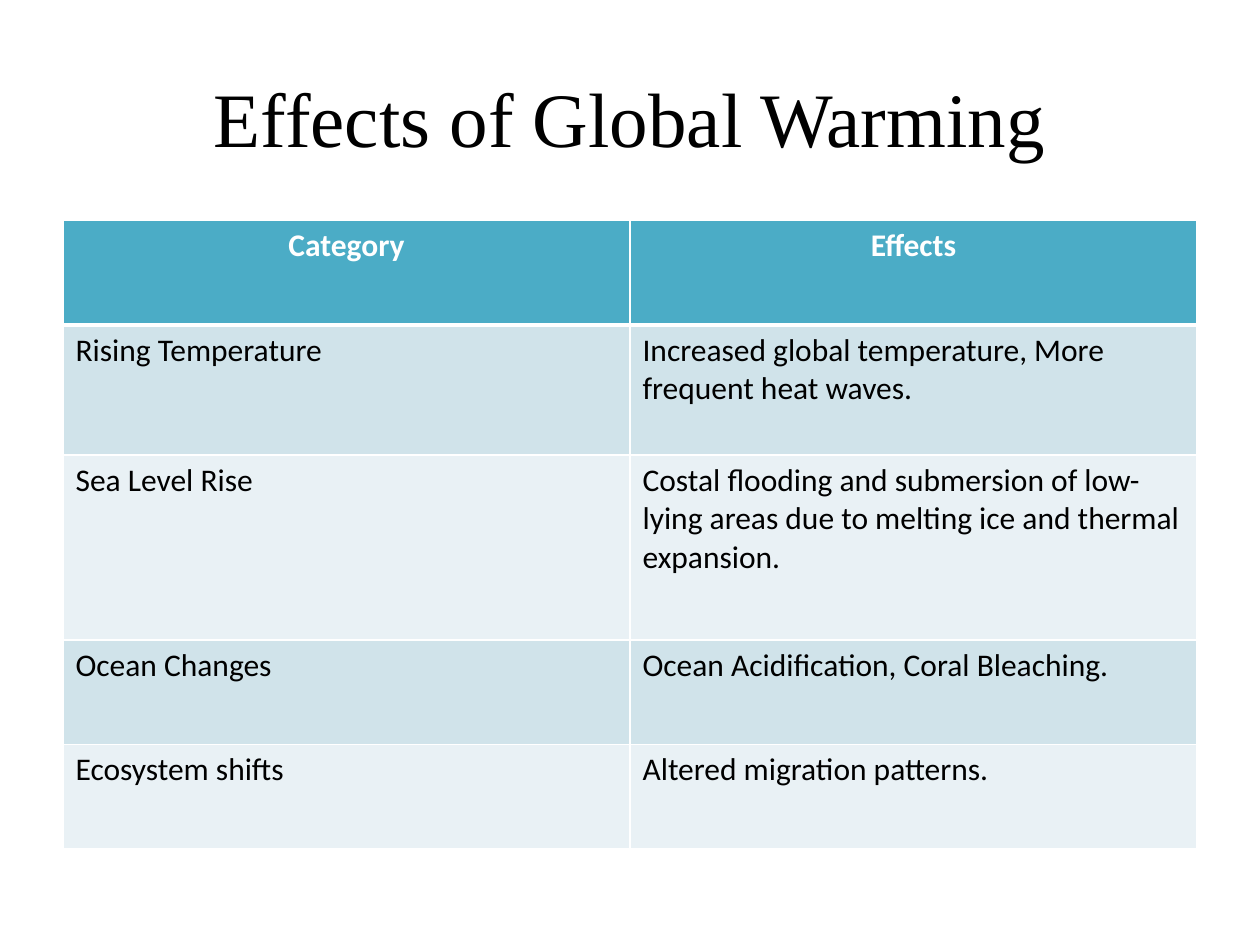
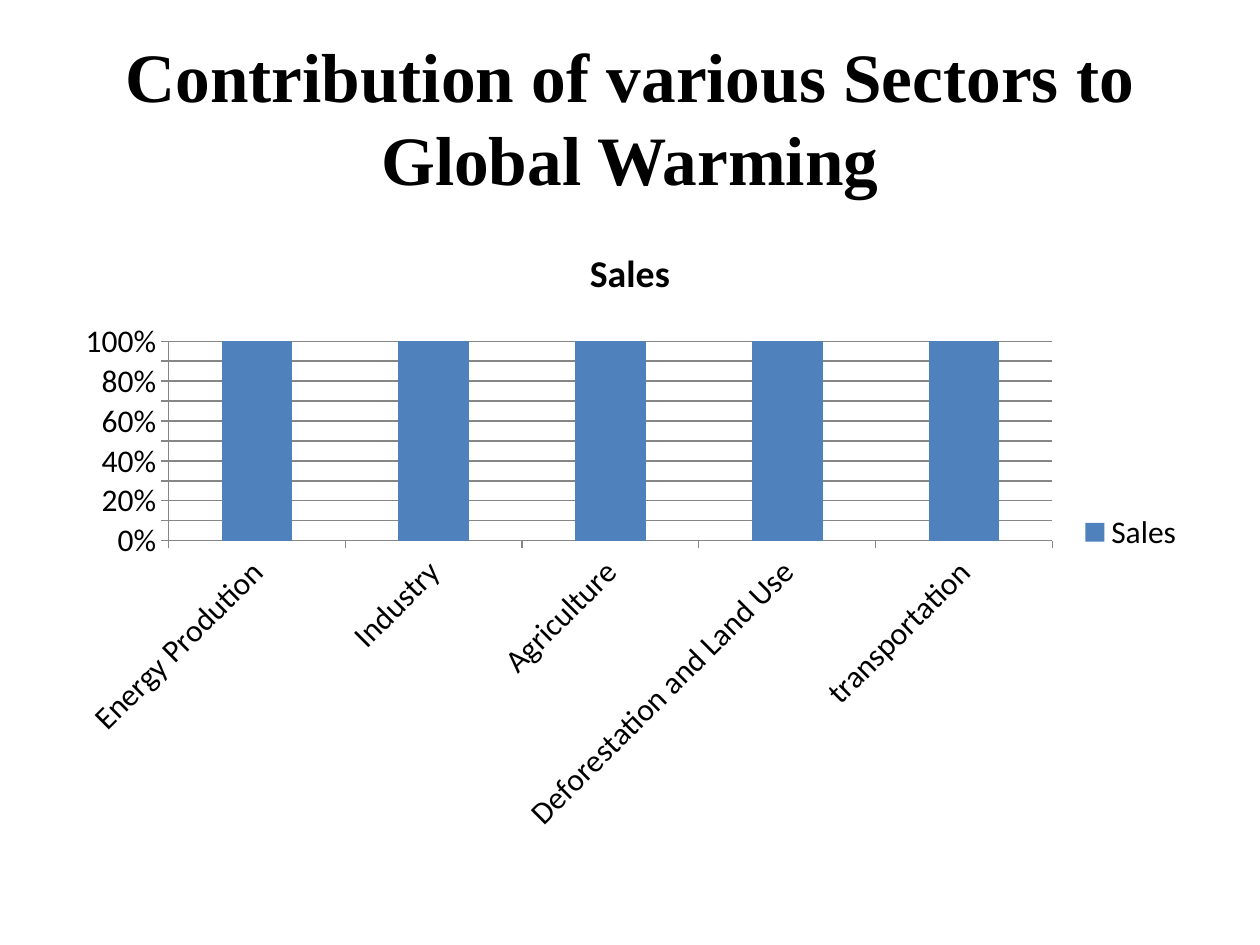
"""Build two slides on global warming: a table of effects and a chart of sectors."""
from typing import NamedTuple

from lxml import etree
from pptx import Presentation
from pptx import util as u
from pptx.chart.data import CategoryChartData
from pptx.dml.color import RGBColor
from pptx.enum import chart as charts
from pptx.enum import text
from pptx.oxml import ns

BLACK = RGBColor(0x00, 0x00, 0x00)
WHITE = RGBColor(0xFF, 0xFF, 0xFF)
TEAL = RGBColor(0x4B, 0xAC, 0xC6)
BAND_DARK = RGBColor(0xD0, 0xE3, 0xEA)
BAND_LIGHT = RGBColor(0xE9, 0xF1, 0xF5)
BLUE = RGBColor(0x4F, 0x81, 0xBD)
GREY = RGBColor(0x86, 0x86, 0x86)

TITLE_FONT = "Times New Roman"
BODY_FONT = "Calibri"
BODY_SIZE = u.Pt(18)
LEFT, WIDTH = u.Inches(0.5), u.Inches(9)
TITLE_TOP, TITLE_HEIGHT = u.Inches(0.3), u.Inches(1.25)
BODY_TOP = u.Inches(1.75)
CHART_HEIGHT = u.Inches(4.95)
TITLE_ONLY = 5


class TableRow(NamedTuple):
    """One line of the effects table and its height."""
    category: str
    effects: str
    height: u.Length


EFFECTS = [
    TableRow("Category", "Effects", u.Inches(0.83)),
    TableRow("Rising Temperature",
             "Increased global temperature, More frequent heat waves.", u.Inches(1.03)),
    TableRow("Sea Level Rise",
             "Costal flooding and submersion of low-lying areas due to melting ice "
             "and thermal expansion.", u.Inches(1.47)),
    TableRow("Ocean Changes", "Ocean Acidification, Coral Bleaching.", u.Inches(0.83)),
    TableRow("Ecosystem shifts", "Altered migration patterns.", u.Inches(0.83)),
]
SECTORS = ["Energy Prodution", "Industry", "Agriculture",
           "Deforestation and Land Use", "transportation"]


def style_font(font, name: str, size: u.Length, color: RGBColor, bold: bool = False) -> None:
    """Set the face, size, colour and weight of a font."""
    font.name, font.size, font.bold = name, size, bold
    font.color.rgb = color


def add_page(deck, title: str, size: u.Length, bold: bool = False):
    """Add a title-only slide with its title placed and formatted."""
    page = deck.slides.add_slide(deck.slide_layouts[TITLE_ONLY])
    page.background.fill.solid()
    page.background.fill.fore_color.rgb = WHITE
    box = page.shapes.title
    box.left, box.top, box.width, box.height = LEFT, TITLE_TOP, WIDTH, TITLE_HEIGHT
    frame = box.text_frame
    frame.text = title
    frame.vertical_anchor = text.MSO_ANCHOR.MIDDLE
    para = frame.paragraphs[0]
    para.alignment = text.PP_ALIGN.CENTER
    style_font(para.runs[0].font, TITLE_FONT, size, BLACK, bold)
    return page


def set_borders(cell, top: u.Length, bottom: u.Length) -> None:
    """Draw white borders round a table cell."""
    properties = cell._tc.get_or_add_tcPr()
    widths = {"a:lnL": u.Pt(1), "a:lnR": u.Pt(1), "a:lnT": top, "a:lnB": bottom}
    for position, (tag, width) in enumerate(widths.items()):
        line = etree.Element(ns.qn(tag), w=str(int(width)))
        fill = etree.SubElement(line, ns.qn("a:solidFill"))
        etree.SubElement(fill, ns.qn("a:srgbClr"), val=str(WHITE))
        properties.insert(position, line)


def add_effects_table(page) -> None:
    """Add the table with a teal header and banded rows."""
    height = sum(row.height for row in EFFECTS)
    table = page.shapes.add_table(len(EFFECTS), 2, LEFT, BODY_TOP, WIDTH, height).table
    for index, row in enumerate(EFFECTS):
        table.rows[index].height = row.height
        header = index == 0
        band = TEAL if header else BAND_DARK if index % 2 else BAND_LIGHT
        for column, wording in enumerate((row.category, row.effects)):
            cell = table.cell(index, column)
            cell.fill.solid()
            cell.fill.fore_color.rgb = band
            set_borders(cell, u.Pt(3 if index == 1 else 1), u.Pt(3 if header else 1))
            cell.text_frame.text = wording
            para = cell.text_frame.paragraphs[0]
            para.alignment = text.PP_ALIGN.CENTER if header else text.PP_ALIGN.LEFT
            style_font(para.runs[0].font, BODY_FONT, BODY_SIZE,
                       WHITE if header else BLACK, header)


def add_sector_chart(page) -> None:
    """Add the full-height stacked column chart of the sectors."""
    data = CategoryChartData()
    data.categories = SECTORS
    data.add_series("Sales", [100] * len(SECTORS))
    chart = page.shapes.add_chart(charts.XL_CHART_TYPE.COLUMN_STACKED_100,
                                  LEFT, BODY_TOP, WIDTH, CHART_HEIGHT, data).chart
    style_font(chart.font, BODY_FONT, BODY_SIZE, BLACK)

    chart.has_title = True
    chart.chart_title.include_in_layout = False
    frame = chart.chart_title.text_frame
    frame.text = "Sales"
    style_font(frame.paragraphs[0].runs[0].font, BODY_FONT, u.Pt(21.6), BLACK, True)

    chart.has_legend = True
    chart.legend.position = charts.XL_LEGEND_POSITION.RIGHT
    chart.legend.include_in_layout = False

    plot = chart.plots[0]
    plot.gap_width, plot.overlap, plot.vary_by_categories = 150, 100, False
    bars = plot.series[0].format.fill
    bars.solid()
    bars.fore_color.rgb = BLUE

    values = chart.value_axis
    values.has_major_gridlines = True
    values.tick_labels.number_format = "0%"
    values.tick_labels.number_format_is_linked = False
    for axis in (chart.category_axis, values):
        axis.major_tick_mark = charts.XL_TICK_MARK.OUTSIDE
    for part in (chart.category_axis, values, values.major_gridlines):
        part.format.line.color.rgb = GREY
        part.format.line.width = u.Pt(0.75)


def main() -> None:
    """Build and save the deck."""
    deck = Presentation()
    deck.slide_width, deck.slide_height = u.Inches(10), u.Inches(7.5)
    add_effects_table(add_page(deck, "Effects of Global Warming", u.Pt(44)))
    add_sector_chart(add_page(deck, "Contribution of various Sectors to Global Warming",
                              u.Pt(39.6), bold=True))
    deck.save("out.pptx")


if __name__ == "__main__":
    main()
